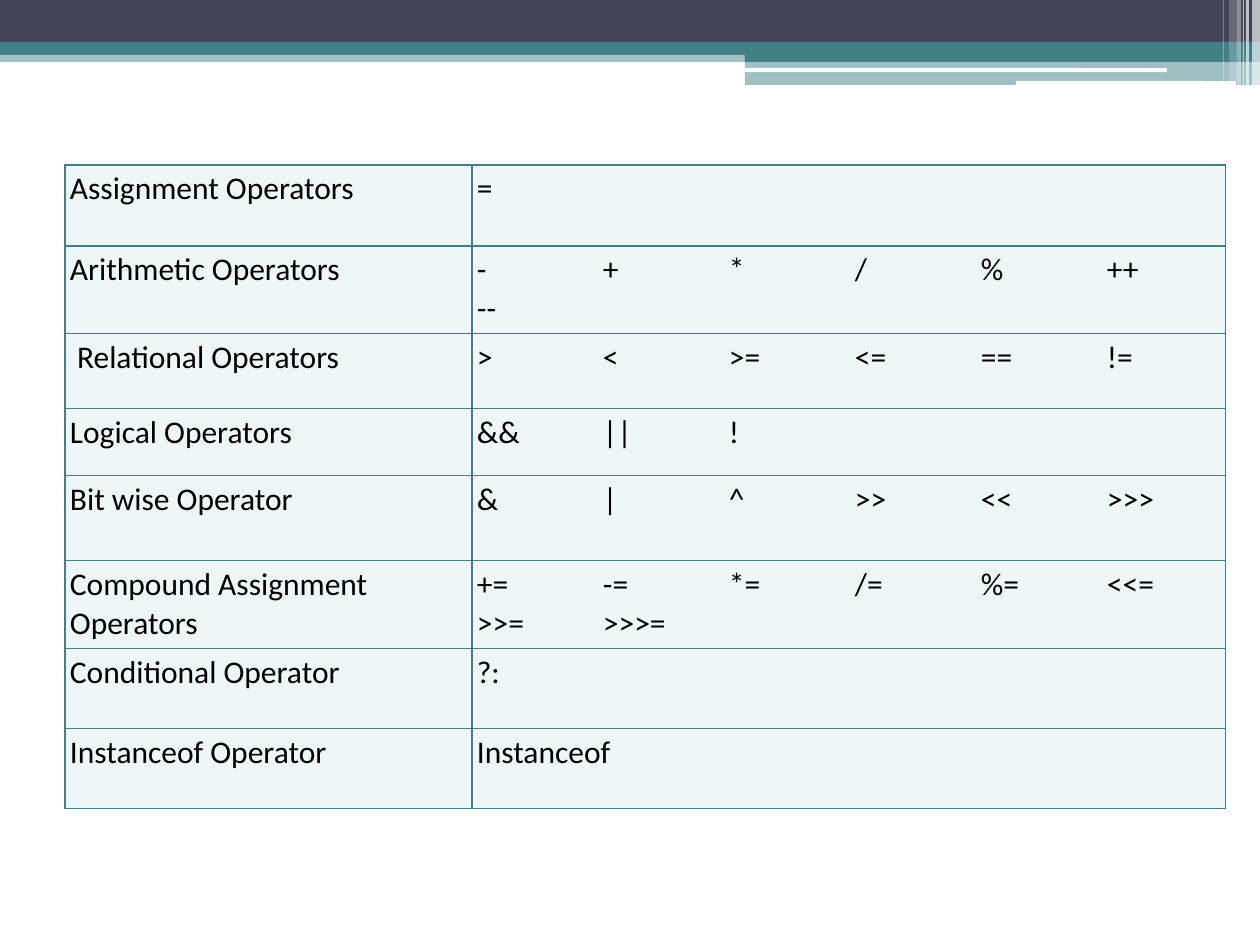
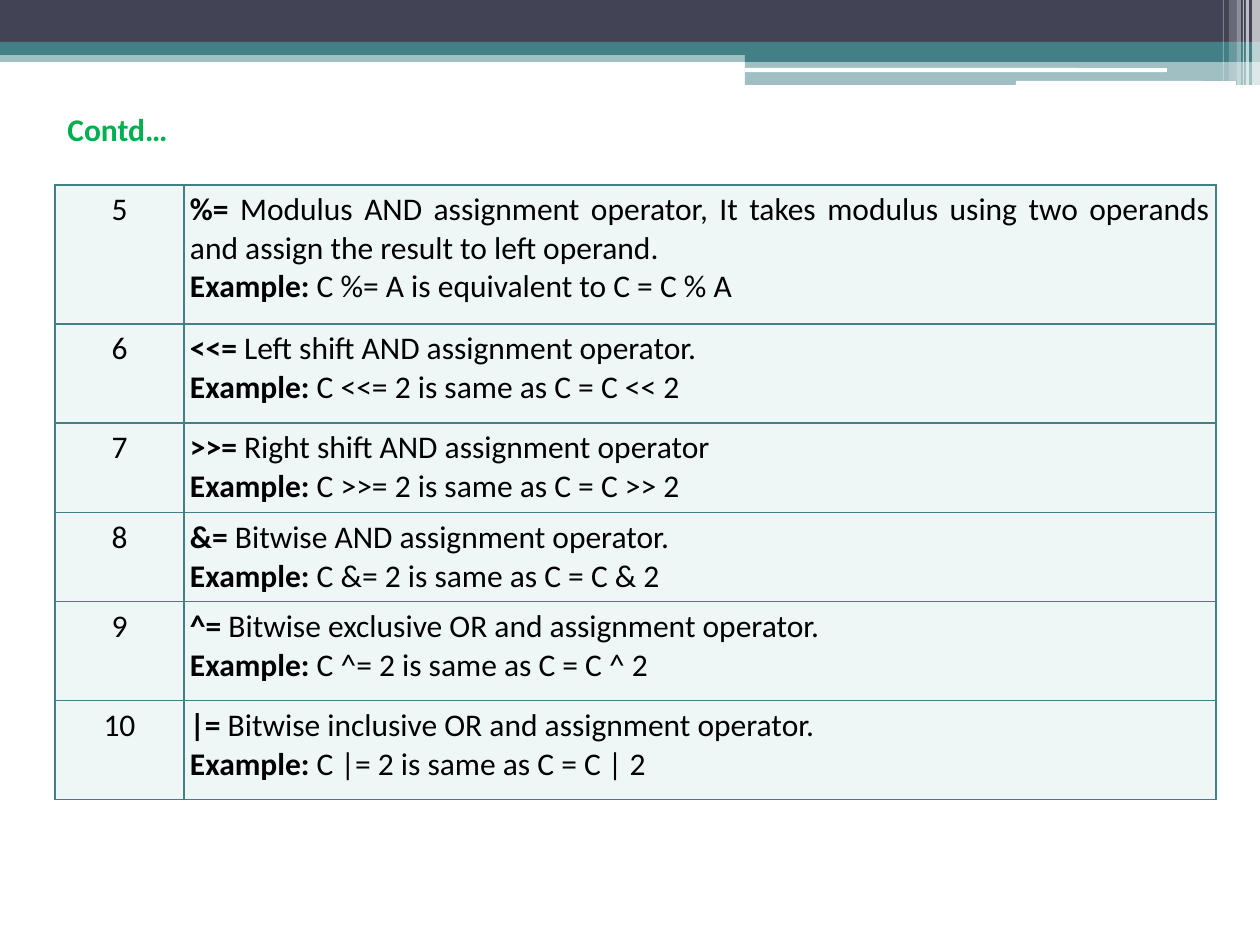
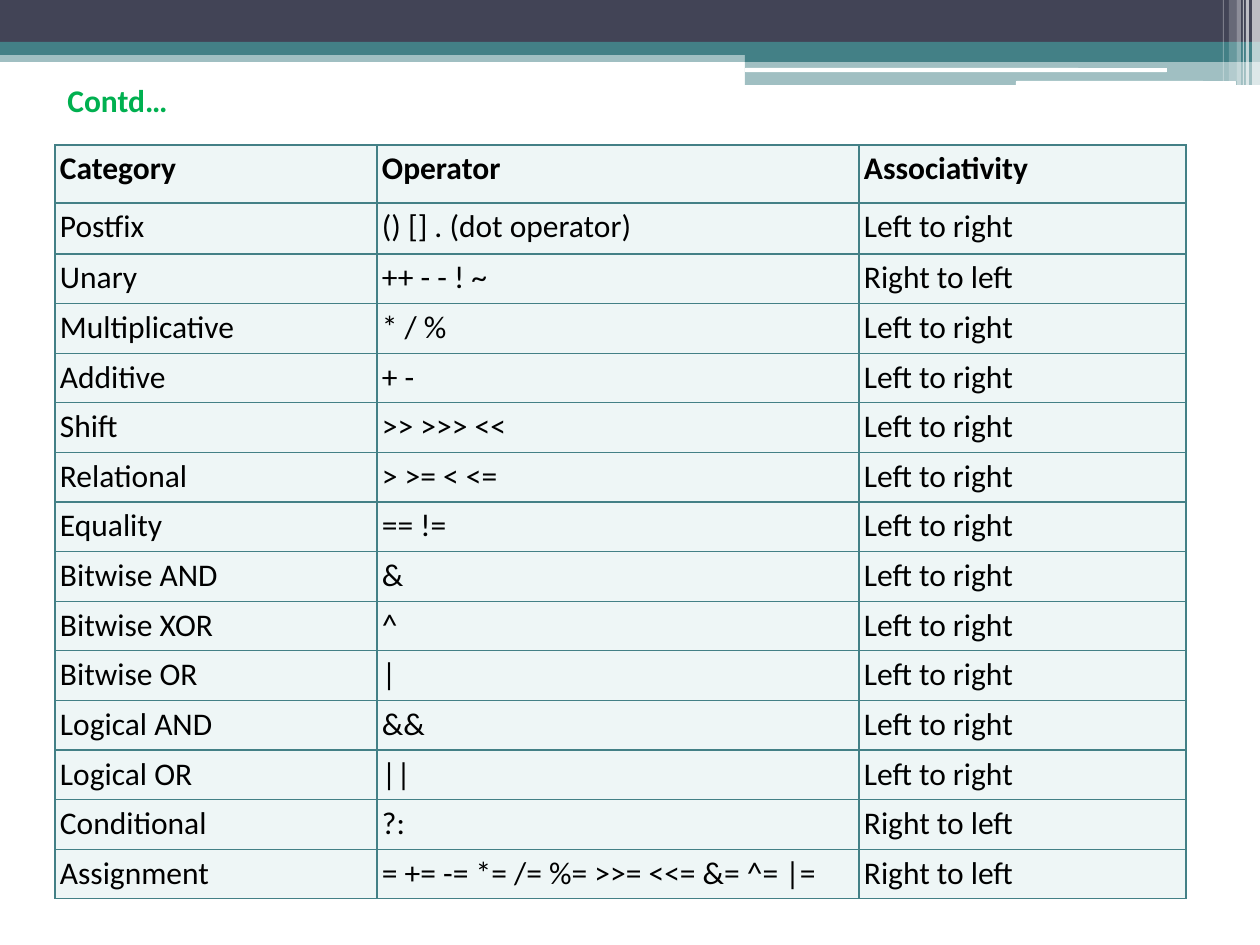
from dataclasses import dataclass
from lxml.etree import SubElement
from pptx import Presentation
from pptx.dml.color import RGBColor
from pptx.enum.shapes import MSO_SHAPE
from pptx.enum.text import MSO_ANCHOR, PP_ALIGN
from pptx.oxml import parse_xml
from pptx.oxml.ns import nsdecls, qn
from pptx.util import Pt

SCALE = 914400 / 126
LEFT, MID, FULL = PP_ALIGN.LEFT, PP_ALIGN.CENTER, PP_ALIGN.JUSTIFY


@dataclass(frozen=True)
class Theme:
    """Colours, font and type sizes of the deck."""
    dark: str = "424456"
    teal: str = "438086"
    pale: str = "EEF6F6"
    white: str = "FFFFFF"
    green: str = "00B050"
    ink: str = "000000"
    font: str = "Calibri"
    size: float = 18
    rule: float = 0.75


THEME = Theme()

BANDS = [
    (0, 50, 1260, 12, THEME.teal, 50),
    (0, 0, 1260, 43, THEME.dark, 100),
    (0, 42, 1260, 13, THEME.teal, 100),
    (745, 49, 515, 13, THEME.teal, 100),
    (745, 61, 515, 24, THEME.teal, 50),
]
SLOTS = [(745, 68, 422, 4), (1016, 81, 220, 5)]
STRIPES = [
    (1252, 8, 85, 65), (1246, 3, 85, 65), (1243, 1, 85, 60),
    (1237, 4, 85, 40), (1229, 8, 81, 20), (1223, 1, 81, 30),
]

KINDS = [
    ("Assignment Operators", "="),
    ("Arithmetic Operators", "-\t+\t*\t/\t%\t++\t--"),
    (" Relational Operators", ">\t<\t>=\t<=\t==\t!="),
    ("Logical Operators", "&&\t||\t!"),
    ("Bit wise Operator", "&\t|\t^\t>>\t<<\t>>>"),
    ("Compound Assignment Operators", "+=\t-=\t*=\t/=\t%=\t<<=\t>>=\t>>>="),
    ("Conditional Operator", "?:"),
    ("Instanceof Operator", "Instanceof"),
]
ASSIGNS = [
    ("%=", "Modulus AND assignment operator, It takes modulus using two "
     "operands and assign the result to left operand.",
     "C %= A is equivalent to C = C % A"),
    ("<<=", "Left shift AND assignment operator.", "C <<= 2 is same as C = C << 2"),
    (">>=", "Right shift AND assignment operator", "C >>= 2 is same as C = C >> 2"),
    ("&=", "Bitwise AND assignment operator.", "C &= 2 is same as C = C & 2"),
    ("^=", "Bitwise exclusive OR and assignment operator.", "C ^= 2 is same as C = C ^ 2"),
    ("|=", "Bitwise inclusive OR and assignment operator.", "C |= 2 is same as C = C | 2"),
]
ORDER = [
    ("Postfix", "() [] . (dot operator)"),
    ("Unary", "++ - - ! ~"),
    ("Multiplicative", "* / %"),
    ("Additive", "+ -"),
    ("Shift", ">> >>> <<"),
    ("Relational", "> >= < <="),
    ("Equality", "== !="),
    ("Bitwise AND", "&"),
    ("Bitwise XOR", "^"),
    ("Bitwise OR", "|"),
    ("Logical AND", "&&"),
    ("Logical OR", "||"),
    ("Conditional", "?:"),
    ("Assignment", "= += -= *= /= %= >>= <<= &= ^= |="),
]
RIGHT = ("Unary", "Conditional", "Assignment")


def px(n):
    """Turn pixels into EMU."""
    return round(n * SCALE)


def style(run, color, bold):
    """Give a run the deck's font."""
    run.font.name = THEME.font
    run.font.size = Pt(THEME.size)
    run.font.bold = bold
    run.font.color.rgb = RGBColor.from_string(color)


def bar(slide, box, color, alpha=100, kind=MSO_SHAPE.RECTANGLE):
    """Draw a flat bar without outline."""
    shape = slide.shapes.add_shape(kind, *map(px, box))
    shape.shadow.inherit = False
    shape.line.fill.background()
    shape.fill.solid()
    shape.fill.fore_color.rgb = RGBColor.from_string(color)
    if alpha < 100:
        tint = shape.element.spPr.find(".//" + qn("a:srgbClr"))
        SubElement(tint, qn("a:alpha")).set("val", str(alpha * 1000))
    return shape


def header(slide, layout):
    """Draw the header bands and hand them to the shared layout."""
    for hold in list(layout.placeholders):
        layout.shapes.element.remove(hold.element)
    parts = [bar(slide, box, color, alpha) for *box, color, alpha in BANDS]
    parts += [bar(slide, box, THEME.white, kind=MSO_SHAPE.ROUNDED_RECTANGLE)
              for box in SLOTS]
    parts += [bar(slide, (x, 0, w, h), THEME.white, alpha)
              for x, w, h, alpha in STRIPES]
    for part in parts:
        layout.shapes.element.append(part.element)


def title(slide, top, height):
    """Add the green heading."""
    frame = slide.shapes.add_textbox(*map(px, (55, top, 218, height))).text_frame
    frame.word_wrap = True
    frame.vertical_anchor = MSO_ANCHOR.MIDDLE
    frame.text = "Contd…"
    style(frame.paragraphs[0].runs[0], THEME.green, True)


def border(cell):
    """Rule all four sides of a cell."""
    props = cell._tc.get_or_add_tcPr()
    for i, side in enumerate("LRTB"):
        props.insert(i, parse_xml(
            f'<a:ln{side} {nsdecls("a")} w="{Pt(THEME.rule)}"><a:solidFill>'
            f'<a:srgbClr val="{THEME.teal}"/></a:solidFill></a:ln{side}>'))


def tabs(para, gap, count):
    """Set evenly spaced tab stops."""
    stops = SubElement(para._p.get_or_add_pPr(), qn("a:tabLst"))
    for i in range(1, count + 1):
        stop = SubElement(stops, qn("a:tab"))
        stop.set("pos", str(px(gap * i)))
        stop.set("algn", "l")


def fill(cell, lines, align, pad):
    """Fill a cell with lines, each a bold lead and a plain rest."""
    cell.margin_left = cell.margin_right = px(pad)
    cell.margin_top = cell.margin_bottom = px(pad)
    cell.fill.solid()
    cell.fill.fore_color.rgb = RGBColor.from_string(THEME.pale)
    border(cell)
    frame = cell.text_frame
    for i, line in enumerate(lines):
        para = frame.add_paragraph() if i else frame.paragraphs[0]
        para.alignment = LEFT if i else align
        if "\t" in line[1]:
            tabs(para, 126, 6)
        for text, bold in zip(line, (True, False)):
            if text:
                run = para.add_run()
                run.text = text
                style(run, THEME.ink, bold)


def grid(slide, spot, cols, rows, data, aligns, pad):
    """Add a table from column widths, row heights and cell lines."""
    table = slide.shapes.add_table(
        len(rows), len(cols), *map(px, (*spot, sum(cols), sum(rows)))).table
    table.first_row = table.horz_banding = False
    for col, width in zip(table.columns, cols):
        col.width = px(width)
    for row, height, line in zip(table.rows, rows, data):
        row.height = px(height)
        for cell, lines, align in zip(row.cells, line, aligns):
            fill(cell, lines, align, pad)


def plain(*texts):
    """Make a row of plain cells."""
    return [[("", text)] for text in texts]


def kinds(slide):
    """Fill the slide on kinds of operators."""
    grid(slide, (65, 165), (407, 754), (81, 88, 75, 67, 85, 88, 80, 80),
         [plain(*row) for row in KINDS], (LEFT, FULL), 5)


def assigns(slide):
    """Fill the slide on compound assignment."""
    data = [[[("", str(n))], [(sign + " ", note), ("Example:", "\u00a0" + code)]]
            for n, (sign, note, code) in enumerate(ASSIGNS, 5)]
    grid(slide, (55, 185), (129, 1032), (139, 99, 90, 89, 99, 99),
         data, (MID, FULL), 6)
    title(slide, 93, 72)


def order(slide):
    """Fill the slide on precedence."""
    data = [[[(name, "")] for name in ("Category", "Operator", "Associativity")]]
    data += [plain(name, signs, "Right to left" if name in RIGHT else "Left to right")
             for name, signs in ORDER]
    tops, total = [58, 51], 754
    count = len(data) - len(tops)
    step = (total - sum(tops)) / count
    grid(slide, (55, 145), (322, 482, 327), tops + [step] * count,
         data, (LEFT,) * 3, 5)
    title(slide, 75, 49)


def main():
    """Build and save the deck."""
    deck = Presentation()
    deck.slide_width, deck.slide_height = px(1260), px(945)
    layout = deck.slide_layouts[6]
    slides = [deck.slides.add_slide(layout) for _ in range(3)]
    header(slides[0], layout)
    for draw, slide in zip((kinds, assigns, order), slides):
        draw(slide)
    deck.save("out.pptx")


main()
